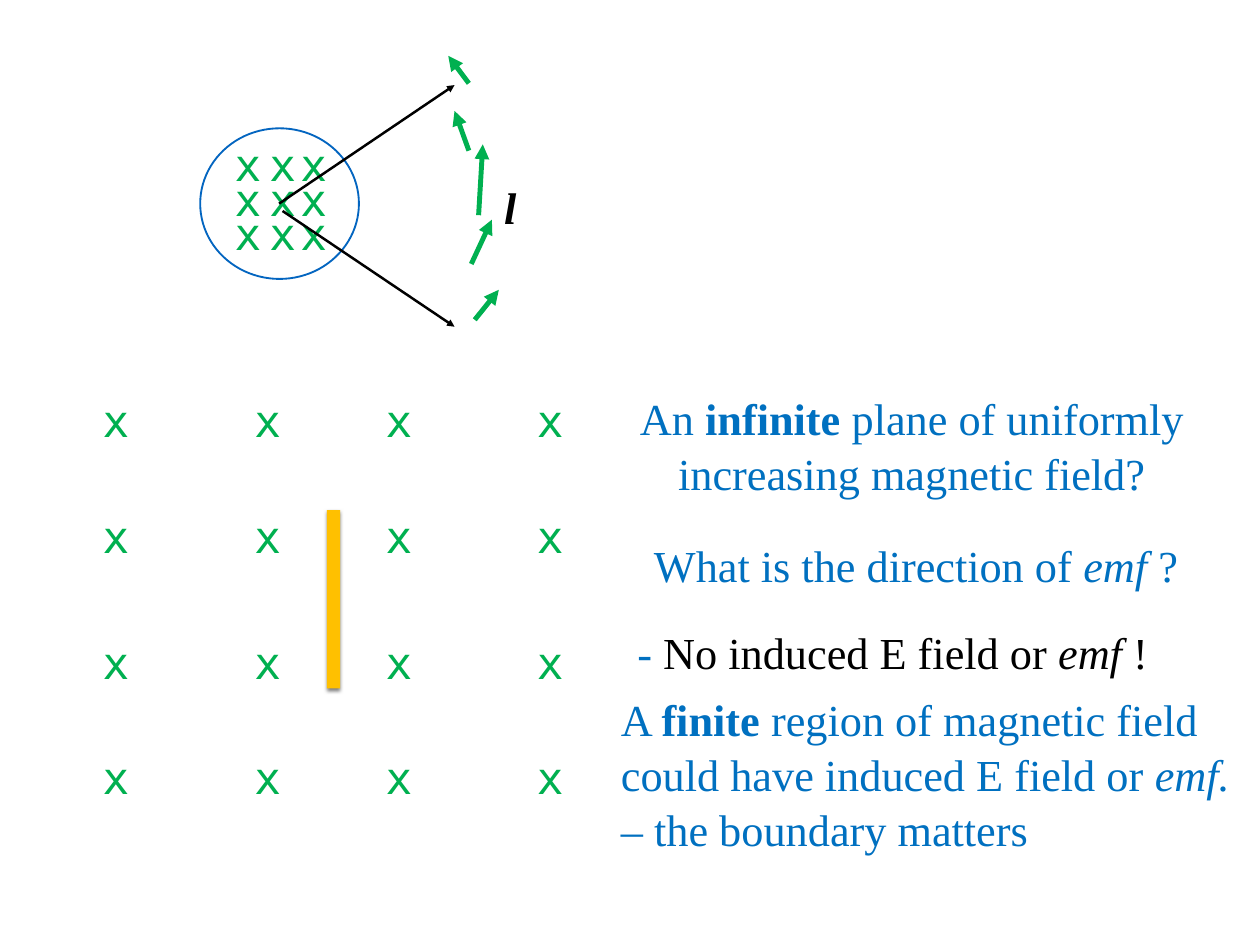
from dataclasses import dataclass
from itertools import product
from typing import Any

from lxml import etree
from pptx import Presentation
from pptx import util as u
from pptx.dml.color import RGBColor
from pptx.enum import shapes, text
from pptx.oxml import ns

GREEN, BLUE, BLACK = "00B050", "0070C0", "000000"
SERIF, MONO = "Times New Roman", "DejaVu Sans Mono"


def paint(tone):
    return RGBColor.from_string(tone)


def cms(*sizes):
    return [u.Cm(size) for size in sizes]


def child(node, tag, **attrs):
    return etree.SubElement(node, ns.qn(tag), **attrs)


def write(para, words, size=36, face=SERIF, tone=BLUE, bold=False, slant=False):
    run = para.add_run()
    run.text = words
    font = run.font
    font.size, font.name = u.Pt(size), face
    font.bold, font.italic = bold, slant
    font.color.rgb = paint(tone)


@dataclass
class Board:
    slide: Any
    inset: float = 0.15
    lead: float = 1.04

    def fill(self, box, paras, wrap=True, align="CENTER", lead=None):
        frame = box.text_frame
        frame.word_wrap = wrap
        frame.auto_size = text.MSO_AUTO_SIZE.SHAPE_TO_FIT_TEXT
        frame.vertical_anchor = text.MSO_ANCHOR.MIDDLE
        frame.margin_left = frame.margin_right = u.Cm(self.inset)
        frame.margin_top = frame.margin_bottom = u.Cm(self.inset)
        for num, runs in enumerate(paras):
            para = frame.add_paragraph() if num else frame.paragraphs[0]
            para.alignment = getattr(text.PP_ALIGN, align)
            para.line_spacing = lead or self.lead
            para.space_before = u.Pt(0)
            for words, style in runs:
                write(para, words, **style)

    def title(self, place, paras):
        box = self.slide.shapes.title
        box.left, box.top, box.width, box.height = cms(*place)
        self.fill(box, paras)

    def label(self, place, paras, **style):
        box = self.slide.shapes.add_textbox(*cms(*place))
        self.fill(box, paras, **style)

    def grid(self, lefts, tops, width, height):
        for top, left in product(tops, lefts):
            mark = [("x", dict(face=MONO, tone=GREEN))]
            self.label((left, top, width, height), [mark], wrap=False, lead=1.0)

    def ring(self, place, tone, width):
        ring = self.slide.shapes.add_shape(shapes.MSO_SHAPE.OVAL, *cms(*place))
        ring.shadow.inherit = False
        ring.fill.background()
        ring.line.color.rgb = paint(tone)
        ring.line.width = u.Pt(width)

    def bar(self, place, tone):
        bar = self.slide.shapes.add_shape(shapes.MSO_SHAPE.RECTANGLE, *cms(*place))
        bar.shadow.inherit = False
        bar.fill.solid()
        bar.fill.fore_color.rgb = paint(tone)
        bar.line.fill.background()
        effects = bar.element.spPr.find(ns.qn("a:effectLst"))
        shade = child(effects, "a:outerShdw", blurRad=str(u.Pt(3)),
                      dist=str(u.Pt(2)), dir="5400000", rotWithShape="0")
        black = child(shade, "a:srgbClr", val=BLACK)
        child(black, "a:alpha", val="50000")

    def arrow(self, ends, tone, width):
        kind = shapes.MSO_CONNECTOR.STRAIGHT
        arrow = self.slide.shapes.add_connector(kind, *cms(*ends))
        arrow.line.color.rgb = paint(tone)
        arrow.line.width = u.Pt(width)
        props = arrow.element.spPr
        child(props.find(ns.qn("a:ln")), "a:tailEnd", type="triangle")
        child(props, "a:effectLst")


def main():
    deck = Presentation()
    deck.slide_width, deck.slide_height = cms(36.12, 27.1)
    board = Board(deck.slides.add_slide(deck.slide_layouts[5]))
    plain, strong, slant = {}, dict(bold=True), dict(slant=True)

    board.ring((5.74, 3.68, 4.55, 4.32), "0365C0", 1.5)
    board.grid((6.58, 7.57, 8.46), (4.09, 5.07, 6.05), 0.89, 1.24)

    for ends in ((8, 5.84, 13.03, 2.44), (8.1, 6.05, 13.03, 9.37)):
        board.arrow(ends, BLACK, 2)
    board.label((14.3, 5, 0.64, 1.83),
                [[("l", dict(tone=BLACK, bold=True, slant=True))]], wrap=False)
    for ends in (
        (13.61, 9.17, 14.3, 8.31),
        (13.51, 7.57, 14.1, 6.3),
        (13.72, 6.17, 13.84, 4.14),
        (13.44, 4.32, 13.03, 3.18),
        (13.44, 2.39, 12.85, 1.6),
    ):
        board.arrow(ends, GREEN, 4)

    board.grid((2.74, 7.09, 10.85, 15.19), (11.28, 14.63, 18.24, 21.54), 1.17, 1.5)
    board.bar((9.37, 14.63, 0.38, 5.11), "FFC000")

    board.title((17.48, 11.07, 17.32, 3.35), [[
        ("An ", plain), ("infinite", strong),
        (" plane of uniformly increasing magnetic field?", plain)]])
    board.label((17.6, 15.24, 17.32, 1.83), [[
        ("What is the direction of ", plain), ("emf ", slant), ("?", plain)]])
    board.label((17.65, 19.71, 18.16, 4.9), [
        [("A ", plain), ("finite", strong),
         (" region of magnetic field could have induced E field or ", plain),
         ("emf.", slant)],
        [("– the boundary matters", plain)]], align="LEFT")
    board.label((18.06, 17.75, 15.06, 1.83), [[
        ("- ", plain), ("No induced E field or ", dict(tone=BLACK)),
        ("emf", dict(tone=BLACK, slant=True)), (" !", dict(tone=BLACK))]],
        wrap=False)

    deck.save("out.pptx")


if __name__ == "__main__":
    main()
